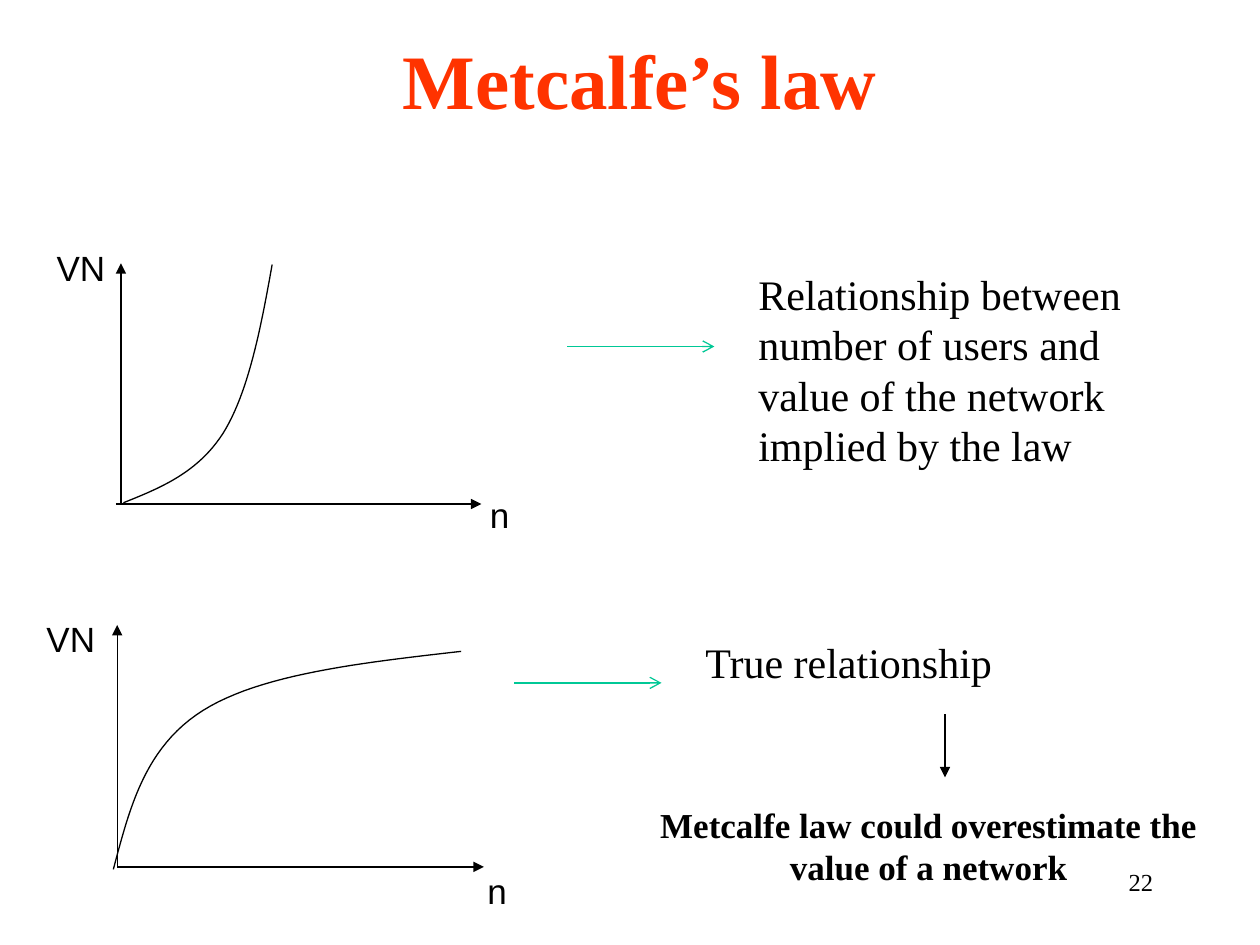
from lxml import etree
from pptx import Presentation
from pptx.dml.color import RGBColor
from pptx.enum import shapes, text
from pptx.oxml.ns import qn
from pptx.util import Inches, Pt

BLACK = RGBColor(0x00, 0x00, 0x00)
RED = RGBColor(0xFF, 0x33, 0x00)
GREEN = RGBColor(0x00, 0xC8, 0x96)
SERIF, SANS = "Times New Roman", "Arial"
LEFT, MID, RIGHT = text.PP_ALIGN.LEFT, text.PP_ALIGN.CENTER, text.PP_ALIGN.RIGHT

TITLE = "Metcalfe’s law"
LABELS = [
    ("VN", (0.35, 1.91, 0.59, 0.44)),
    ("n", (3.79, 3.87, 0.36, 0.43)),
    ("VN", (0.27, 4.85, 0.59, 0.44)),
    ("n", (3.77, 6.85, 0.36, 0.43)),
]
NOTES = [
    ("Relationship between number of users and value of the network implied by the law",
     (5.92, 2.08, 3.25, 1.72), 24, False, LEFT),
    ("True relationship", (5.5, 5, 3.25, 0.5), 24, False, LEFT),
    ("Metcalfe law could overestimate the value of a network",
     (5.08, 6.33, 4.58, 0.77), 20, True, MID),
    ("22", (7.17, 6.83, 2.08, 0.5), 14, False, RIGHT),
]
ARROWS = [
    ((0.96, 4), (0.96, 2.09), BLACK, "triangle"),
    ((0.92, 4), (3.82, 4), BLACK, "triangle"),
    ((0.93, 6.88), (0.93, 4.96), BLACK, "triangle"),
    ((0.93, 6.88), (3.84, 6.88), BLACK, "triangle"),
    ((7.5, 5.67), (7.5, 6.17), BLACK, "triangle"),
    ((4.5, 2.75), (5.67, 2.75), GREEN, "arrow"),
    ((4.08, 5.42), (5.25, 5.42), GREEN, "arrow"),
]
CURVES = [
    [(0.98, 3.99), (1.28, 3.87), (1.57, 3.75), (1.77, 3.44),
     (1.97, 3.12), (2.07, 2.61), (2.16, 2.1)],
    [(0.9, 6.9), (1.03, 6.41), (1.15, 5.93), (1.61, 5.64),
     (2.07, 5.35), (2.87, 5.26), (3.66, 5.17)],
]
STEPS = 24


def place(shape, box):
    shape.left, shape.top, shape.width, shape.height = map(Inches, box)


def style(para, size, face, color=BLACK, bold=False, align=LEFT):
    para.alignment = align
    font = para.font
    font.size, font.name, font.bold = Pt(size), face, bold
    font.color.rgb = color


def add_text(slide, words, box, size, face, bold=False, align=LEFT, wrap=True):
    frame = slide.shapes.add_textbox(*map(Inches, box)).text_frame
    frame.word_wrap = wrap
    frame.text = words
    style(frame.paragraphs[0], size, face, bold=bold, align=align)


def ink(line, color):
    line.color.rgb = color
    line.width = Pt(0.75)


def add_arrow(slide, start, end, color, head):
    arrow = slide.shapes.add_connector(
        shapes.MSO_CONNECTOR.STRAIGHT, *map(Inches, start + end))
    ink(arrow.line, color)
    props = arrow._element.spPr
    etree.SubElement(props.find(qn("a:ln")), qn("a:tailEnd"), type=head)
    etree.SubElement(props, qn("a:effectLst"))


def cubic(nodes, t):
    rates = ((1 - t) ** 3, 3 * t * (1 - t) ** 2, 3 * t * t * (1 - t), t ** 3)
    return tuple(Inches(sum(r * node[axis] for r, node in zip(rates, nodes)))
                 for axis in (0, 1))


def add_curve(slide, nodes):
    dots = [cubic(nodes[i:i + 4], step / STEPS)
            for i in range(0, len(nodes) - 1, 3) for step in range(1, STEPS + 1)]
    pen = slide.shapes.build_freeform(*map(Inches, nodes[0]))
    pen.add_line_segments(dots, close=False)
    curve = pen.convert_to_shape()
    curve.shadow.inherit = False
    curve.fill.background()
    ink(curve.line, BLACK)


def main():
    deck = Presentation()
    deck.slide_width, deck.slide_height = Inches(10), Inches(7.5)
    slide = deck.slides.add_slide(deck.slide_layouts[5])
    title = slide.shapes.title
    place(title, (0.83, 0, 8.5, 1.25))
    title.text_frame.text = TITLE
    title.text_frame.vertical_anchor = text.MSO_ANCHOR.MIDDLE
    style(title.text_frame.paragraphs[0], 44, SERIF, RED, True, MID)
    for arrow in ARROWS:
        add_arrow(slide, *arrow)
    for nodes in CURVES:
        add_curve(slide, nodes)
    for words, box in LABELS:
        add_text(slide, words, box, 20, SANS, wrap=False)
    for words, box, size, bold, align in NOTES:
        add_text(slide, words, box, size, SERIF, bold, align)
    deck.save("out.pptx")


if __name__ == "__main__":
    main()
